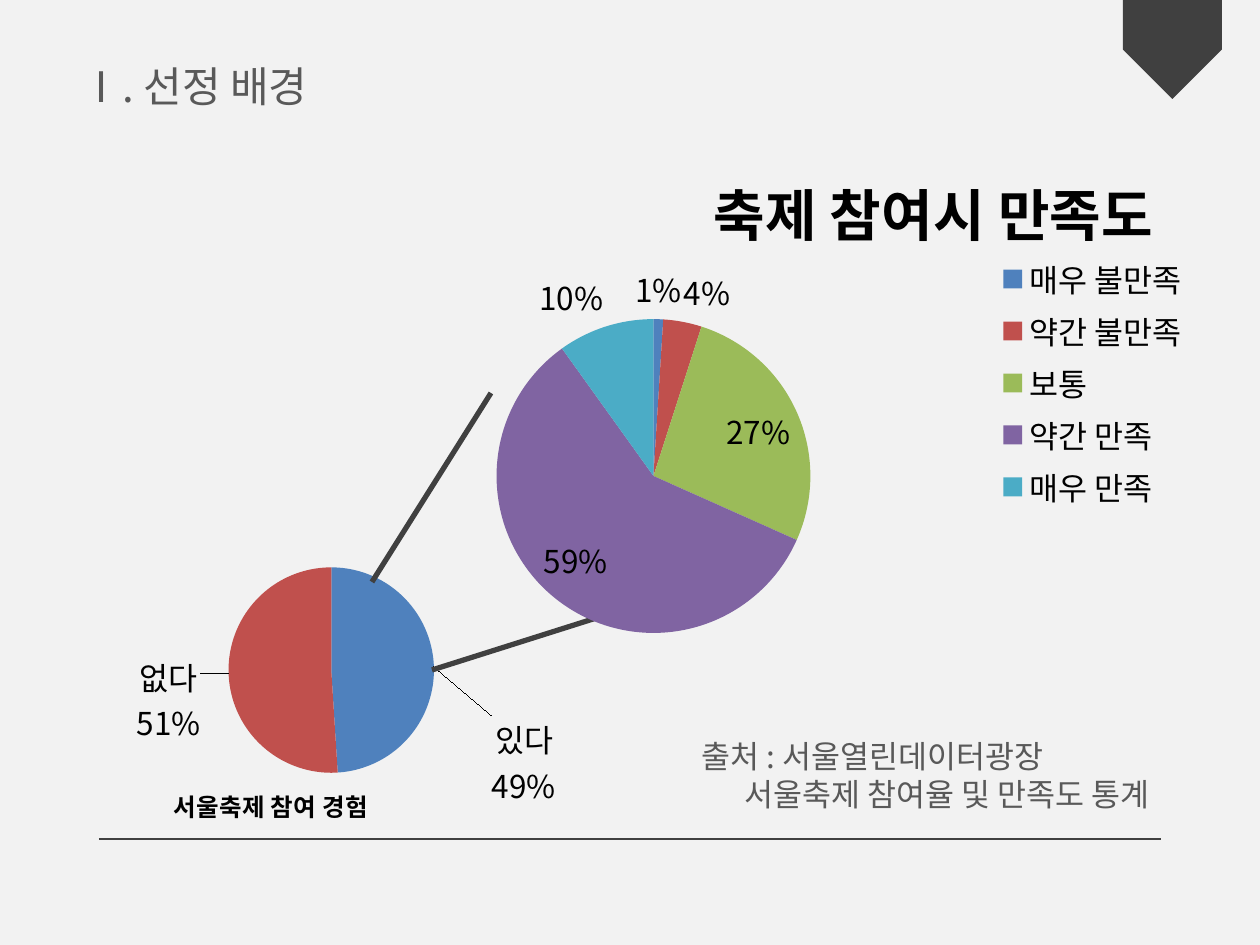
from lxml import etree
from pptx import Presentation, util as u
from pptx.chart.data import CategoryChartData
from pptx.dml.color import RGBColor
from pptx.enum import chart as ch, shapes
from pptx.oxml import parse_xml
from pptx.oxml.ns import nsdecls, qn

PX = 914400 // 126
W, H = 1260, 945
FONT = "Noto Sans CJK KR"
COLORS = {
    "background": "F2F2F2", "dark": "404040", "text": "595959", "black": "000000",
    "blue": "4F81BD", "red": "C0504D", "green": "9BBB59",
    "purple": "8064A2", "teal": "4BACC6",
}

HEADING = ((68, 54, 280, 63), 24, [("Ⅰ. 선정 배경", 0)])
SOURCE = ((689, 731, 534, 89), 18, [
    ("출처 : 서울열린데이터광장", 0),
    ("서울축제 참여율 및 만족도 통계", 43),
])
BASELINE = (99, 839, 1161, 839, 0.75)
ZOOM_LINES = [(432, 670, 650, 601, 3), (372, 582, 491, 393, 3)]

# Layouts are fractions of the chart frame: x, y, width, height
EXPERIENCE = {
    "title": "서울축제 참여 경험", "title_size": 14, "title_at": (0.15, 0.84),
    "box": (93, 472, 507, 367), "plot": (0.08, 0.26, 0.78, 0.56),
    "slices": [("있다", 49, "blue"), ("없다", 51, "red")],
    "label_shifts": [(0.1, 0.26), (-0.04, 0.07)],
}
SATISFACTION = {
    "title": "축제 참여시 만족도", "title_size": 32, "title_at": (0.4, 0.07),
    "box": (372, 117, 828, 532), "plot": (0.15, 0.38, 0.38, 0.59),
    "legend": (0.75, 0.25, 0.24, 0.5),
    "slices": [("매우 불만족", 1, "blue"), ("약간 불만족", 4, "red"), ("보통", 27, "green"),
               ("약간 만족", 59, "purple"), ("매우 만족", 10, "teal")],
}


def px(*values):
    return [v * PX for v in values]


def rgb(name):
    return RGBColor.from_string(COLORS[name])


def style(font, size, color):
    """Set size, colour and both the Latin and the East Asian typeface."""
    font.size, font.name = u.Pt(size), FONT
    font.color.rgb = rgb(color)
    latin = font._rPr.find(qn("a:latin"))
    latin.addnext(parse_xml(f'<a:ea {nsdecls("a")} typeface="{FONT}"/>'))


def add_text(slide, box, size, lines):
    tf = slide.shapes.add_textbox(*px(*box)).text_frame
    tf.word_wrap = False
    for i, (words, indent) in enumerate(lines):
        p = tf.paragraphs[0] if i == 0 else tf.add_paragraph()
        p._p.get_or_add_pPr().set("marL", str(indent * PX))
        r = p.add_run()
        r.text = words
        style(r.font, size, "text")


def add_line(slide, x1, y1, x2, y2, width):
    line = slide.shapes.add_connector(shapes.MSO_CONNECTOR.STRAIGHT, *px(x1, y1, x2, y2))
    line.line.color.rgb = rgb("dark")
    line.line.width = u.Pt(width)
    etree.SubElement(line._element.spPr, qn("a:effectLst"))


def place(element, at, after=None, inner=False):
    """Give a chart part a manual layout, put after the named child or first."""
    target = '<c:layoutTarget val="inner"/>' if inner else ""
    modes = "".join(f'<c:{k}Mode val="edge"/>' for k in "xy") if after != "c:idx" else ""
    sizes = "".join(f'<c:{k} val="{v}"/>' for k, v in zip("xywh", at))
    layout = parse_xml(f'<c:layout {nsdecls("c")}><c:manualLayout>{target}{modes}{sizes}'
                       '</c:manualLayout></c:layout>')
    for old in element.findall(qn("c:layout")):
        element.remove(old)
    if after:
        element.find(qn(after)).addnext(layout)
    else:
        element.insert(0, layout)


def show_name_and_percent(labels):
    for tag, on in (("showVal", 0), ("showCatName", 1), ("showPercent", 1)):
        labels.find(qn(f"c:{tag}")).set("val", str(on))
    separator = parse_xml(f'<c:separator {nsdecls("c")}>\n</c:separator>')
    (labels.find(qn("c:showBubbleSize")) if labels.find(qn("c:showBubbleSize")) is not None
     else labels.find(qn("c:showPercent"))).addnext(separator)


def add_pie(slide, pie):
    data = CategoryChartData()
    data.categories = [name for name, _, _ in pie["slices"]]
    data.add_series(pie["title"], [value for _, value, _ in pie["slices"]])
    chart = slide.shapes.add_chart(ch.XL_CHART_TYPE.PIE, *px(*pie["box"]), data).chart
    style(chart.font, 18, "black")

    tf = chart.chart_title.text_frame
    tf.text = pie["title"]
    font = tf.paragraphs[0].runs[0].font
    style(font, pie["title_size"], "black")
    font.bold = True
    place(chart.chart_title._element, pie["title_at"], after="c:tx")
    place(chart.element.find(".//" + qn("c:plotArea")), pie["plot"], inner=True)

    chart.has_legend = "legend" in pie
    if chart.has_legend:
        chart.legend.position = ch.XL_LEGEND_POSITION.RIGHT
        chart.legend.include_in_layout = False
        place(chart.legend._element, pie["legend"], after="c:legendPos")

    plot = chart.plots[0]
    plot.vary_by_categories = True
    series = plot.series[0]
    for i, (_, _, color) in enumerate(pie["slices"]):
        fill = series.points[i].format.fill
        fill.solid()
        fill.fore_color.rgb = rgb(color)

    labels = series.data_labels
    if "label_shifts" in pie:
        for i, shift in enumerate(pie["label_shifts"]):
            series.points[i].data_label.position = ch.XL_LABEL_POSITION.OUTSIDE_END
            label = labels._element.findall(qn("c:dLbl"))[i]
            place(label, shift, after="c:idx")
            show_name_and_percent(label)
        show_name_and_percent(labels._element)
    else:
        labels.show_value = True
        labels.number_format = '0"%"'
        labels.number_format_is_linked = False
        labels.position = ch.XL_LABEL_POSITION.BEST_FIT


def main():
    prs = Presentation()
    prs.slide_width, prs.slide_height = px(W, H)
    slide = prs.slides.add_slide(prs.slide_layouts[6])
    slide.background.fill.solid()
    slide.background.fill.fore_color.rgb = rgb("background")

    add_text(slide, *HEADING)
    ribbon = slide.shapes.add_shape(shapes.MSO_SHAPE.PENTAGON, *px(1123, 0, 99, 99))
    ribbon.rotation = 90
    ribbon.shadow.inherit = False
    ribbon.fill.solid()
    ribbon.fill.fore_color.rgb = rgb("dark")
    ribbon.line.fill.background()
    add_line(slide, *BASELINE)
    add_pie(slide, EXPERIENCE)
    for line in ZOOM_LINES:
        add_line(slide, *line)
    add_pie(slide, SATISFACTION)
    add_text(slide, *SOURCE)
    prs.save("out.pptx")


if __name__ == "__main__":
    main()
